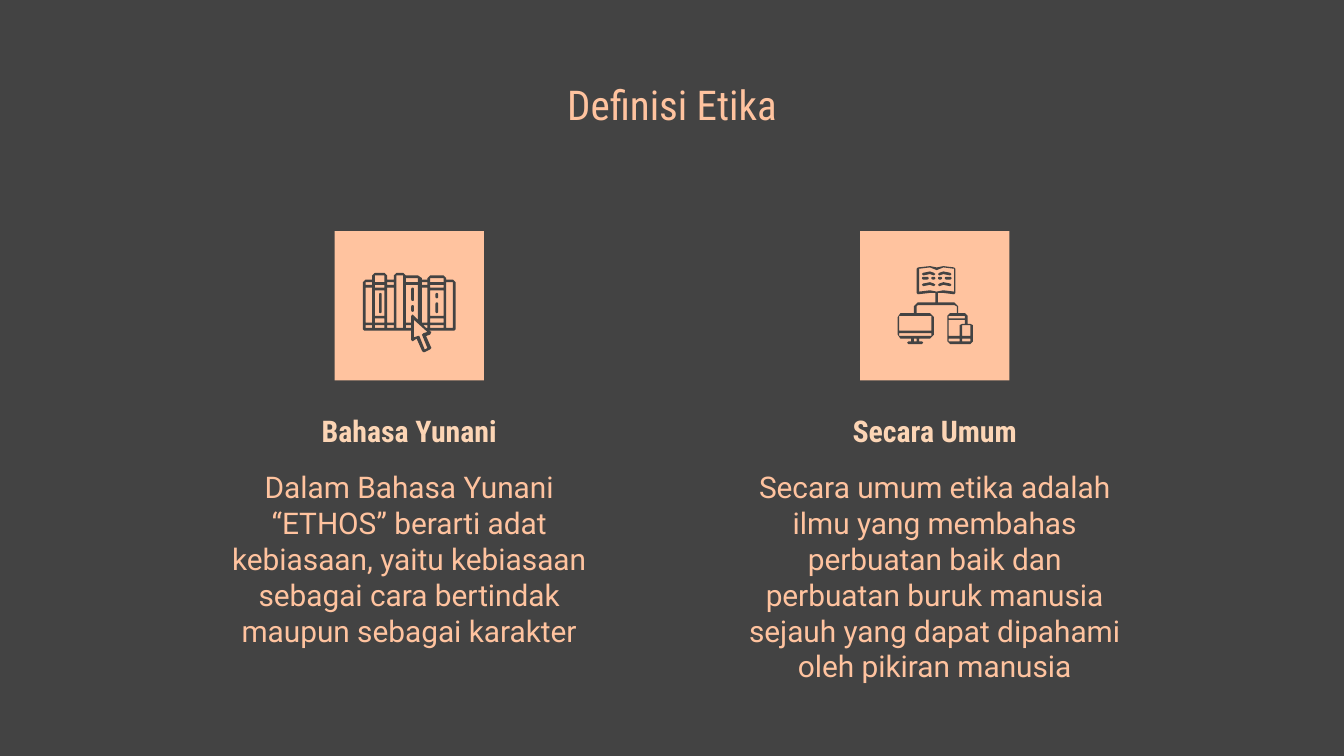
"""Build a slide that defines ethics in two icon-topped columns."""
from dataclasses import dataclass
from typing import Any

from pptx import Presentation
from pptx import util as u
from pptx.dml.color import RGBColor
from pptx.enum import shapes, text

DARK = RGBColor(0x43, 0x43, 0x43)
PEACH = RGBColor(0xFF, 0xC3, 0x9F)
CREAM = RGBColor(0xFC, 0xD5, 0xB5)
UNIT = u.Inches(0.01)
TILE_TOP, TILE_SIDE = 172, 111

Points = list[tuple[int, int]]
Rect = tuple[int, int, int, int]


@dataclass
class Icon:
    """Contours, cut-outs and bars on a grid of hundredths of an inch."""
    outline: Points
    holes: list[Points]
    bars: list[Rect]
    strokes: list[Points]


@dataclass
class Column:
    """One definition below its icon tile."""
    left: int
    heading: str
    body: str
    body_width: int
    icon: Icon


def corners(rect: Rect) -> Points:
    """Turn left, top, right, bottom into a contour."""
    left, top, right, bottom = rect
    return [(left, top), (right, top), (right, bottom), (left, bottom)]


def mirrored(points: Points, axis: int) -> Points:
    """Reflect points across a vertical axis."""
    return [(2 * axis - x, y) for x, y in points]


def books_icon() -> Icon:
    """Row of books with a cursor in front."""
    outline = [
        (30, 31), (28, 33), (28, 36), (23, 36), (21, 38), (21, 73), (22, 74), (57, 74), (57, 81),
        (58, 82), (61, 80), (65, 89), (66, 90), (67, 90), (71, 88), (72, 87), (68, 78), (71, 77),
        (72, 75), (70, 74), (89, 74), (90, 73), (90, 38), (88, 36), (83, 36), (83, 35), (81, 33),
        (71, 33), (69, 35), (69, 36), (65, 36), (65, 35), (62, 33), (53, 33), (51, 31), (46, 31),
        (44, 33), (44, 36), (39, 36), (39, 33), (37, 31)]
    foot = (70, 72)
    thin = [(38, 40), (42, 68)]
    banded = [(40, 42), (44, 63), (65, 68), foot]
    spines = {
        (23, 28): [*thin, foot], (30, 37): [(33, 38), *banded], (39, 44): [*thin, foot],
        (46, 51): [(33, 72)], (53, 62): [(35, 38)], (53, 57): [foot],
        (65, 69): thin, (71, 81): [(35, 38), *banded], (83, 88): [(38, 72)]}
    holes = [corners((left, top, right, bottom))
             for (left, right), bands in spines.items() for top, bottom in bands]
    holes += [
        [(53, 40), (62, 40), (62, 66), (59, 63), (58, 62), (57, 63), (57, 68), (53, 68)],
        [(66, 70), (69, 70), (69, 72), (68, 72)],
        [(59, 66), (69, 75), (66, 76), (65, 77), (69, 87), (67, 88), (63, 78), (62, 78), (59, 79)]]
    bars = [(57, 55, 59, 60), (57, 42, 59, 52), (33, 46, 35, 61), (75, 53, 77, 61), (75, 46, 77, 50)]
    return Icon(outline, holes, bars, [])


def network_icon() -> Icon:
    """Open book linked to a monitor and to mobile devices."""
    outline = [
        (57, 27), (52, 26), (43, 27), (42, 28), (42, 46), (43, 47), (52, 46), (56, 46), (56, 53),
        (43, 53), (40, 56), (40, 61), (30, 61), (28, 64), (28, 77), (30, 80), (38, 80), (38, 82),
        (36, 82), (35, 83), (36, 84), (46, 84), (47, 83), (46, 82), (44, 82), (44, 80), (52, 80),
        (55, 77), (55, 64), (52, 61), (42, 61), (42, 56), (43, 55), (70, 55), (72, 56), (72, 61),
        (67, 61), (65, 63), (65, 82), (67, 84), (82, 84), (84, 82), (84, 70), (82, 69), (80, 69),
        (80, 63), (78, 61), (73, 61), (73, 56), (70, 53), (58, 53), (58, 46), (62, 46), (70, 47),
        (71, 46), (71, 28), (70, 27), (62, 26)]
    panes = [(66, 63, 78, 65), (29, 63, 53, 74), (29, 76, 53, 78), (76, 70, 82, 78),
             (40, 80, 42, 82), (66, 80, 74, 82), (76, 80, 82, 82)]
    holes = [corners(pane) for pane in panes] + [
        [(62, 27), (70, 28), (70, 45), (62, 44), (57, 45),
         (52, 44), (44, 45), (44, 28), (52, 27), (57, 29)],
        [(66, 66), (78, 66), (78, 69), (76, 69), (74, 70), (74, 78), (66, 78)]]
    bars = [(left, 34, right, 36) for left, right in [(58, 61), (63, 68), (53, 56), (46, 51)]]
    curve = [(58, 32), (59, 31), (62, 30), (67, 31), (68, 32), (67, 33), (62, 32), (59, 33)]
    lines = [[(x, y + drop) for x, y in curve] for drop in (0, 8)]
    return Icon(outline, holes, bars, lines + [mirrored(line, 57) for line in lines])


def paint(shape: Any, color: RGBColor) -> None:
    """Give a shape a flat fill without line or shadow."""
    shape.shadow.inherit = False
    shape.fill.solid()
    shape.fill.fore_color.rgb = color
    shape.line.fill.background()


def draw_contours(page: Any, contours: list[Points], left: int) -> None:
    """Draw closed contours as one freeform on a tile."""
    builder = page.shapes.build_freeform(*contours[0][0], scale=float(UNIT))
    for number, points in enumerate(contours):
        if number:
            builder.move_to(*points[0])
        builder.add_line_segments(points[1:], close=True)
    paint(builder.convert_to_shape(left * UNIT, TILE_TOP * UNIT), DARK)


def draw_box(page: Any, kind: Any, rect: Rect, color: RGBColor) -> Any:
    """Draw a filled preset shape between grid edges."""
    left, top, right, bottom = (edge * UNIT for edge in rect)
    shape = page.shapes.add_shape(kind, left, top, right - left, bottom - top)
    paint(shape, color)
    return shape


def draw_icon(page: Any, icon: Icon, left: int) -> None:
    """Draw an icon on the tile that starts at left."""
    draw_contours(page, [icon.outline, *icon.holes], left)
    for stroke in icon.strokes:
        draw_contours(page, [stroke], left)
    for x1, y1, x2, y2 in icon.bars:
        rect = (left + x1, TILE_TOP + y1, left + x2, TILE_TOP + y2)
        bar = draw_box(page, shapes.MSO_SHAPE.ROUNDED_RECTANGLE, rect, DARK)
        bar.adjustments[0] = 0.5


def write(box: Any, words: str, anchor: Any, color: RGBColor, **font: Any) -> None:
    """Fill a text box with one centred paragraph."""
    frame = box.text_frame
    frame_format = dict(word_wrap=True, auto_size=text.MSO_AUTO_SIZE.NONE, vertical_anchor=anchor,
                        margin_left=0, margin_top=0, margin_right=0, margin_bottom=0)
    for name, value in frame_format.items():
        setattr(frame, name, value)
    para = frame.paragraphs[0]
    para.alignment = text.PP_ALIGN.CENTER
    span = para.add_run()
    span.text = words
    span.font.color.rgb = color
    for name, value in font.items():
        setattr(span.font, name, value)


def draw_column(page: Any, column: Column) -> None:
    """Draw the tile, icon, heading and text of a column."""
    left = column.left
    tile = (left, TILE_TOP, left + TILE_SIDE, TILE_TOP + TILE_SIDE)
    draw_box(page, shapes.MSO_SHAPE.RECTANGLE, tile, PEACH)
    draw_icon(page, column.icon, left)

    def centred_box(top: int, width: int, height: int) -> Any:
        """Add a text box centred below the tile."""
        start = left + (TILE_SIDE - width) / 2
        return page.shapes.add_textbox(int(start * UNIT), top * UNIT, width * UNIT, height * UNIT)

    write(centred_box(290, 166, 44), column.heading, text.MSO_ANCHOR.BOTTOM, CREAM,
          name="Roboto Condensed", size=u.Pt(16), bold=True)
    write(centred_box(349, column.body_width, 76), column.body, text.MSO_ANCHOR.TOP, PEACH,
          name="Roboto", size=u.Pt(16))


def main() -> None:
    """Build and save the deck."""
    deck = Presentation()
    deck.slide_width = u.Inches(10)
    deck.slide_height = deck.slide_width * 9 // 16
    page = deck.slides.add_slide(deck.slide_layouts[5])
    page.background.fill.solid()
    page.background.fill.fore_color.rgb = DARK
    title = page.shapes.title
    place = dict(left=0.77, top=0.38, width=8.46, height=0.58)
    for name, value in place.items():
        setattr(title, name, u.Inches(value))
    write(title, "Definisi Etika", text.MSO_ANCHOR.BOTTOM, PEACH,
          name="Roboto Condensed", size=u.Pt(22))
    columns = [
        Column(249, "Bahasa Yunani",
               "Dalam Bahasa Yunani “ETHOS” berarti adat kebiasaan, yaitu kebiasaan "
               "sebagai cara bertindak maupun sebagai karakter", 291, books_icon()),
        Column(640, "Secara Umum",
               "Secara umum etika adalah ilmu yang membahas perbuatan baik dan perbuatan buruk "
               "manusia sejauh yang dapat dipahami oleh pikiran manusia", 282, network_icon())]
    for column in columns:
        draw_column(page, column)
    deck.save("out.pptx")


if __name__ == "__main__":
    main()
